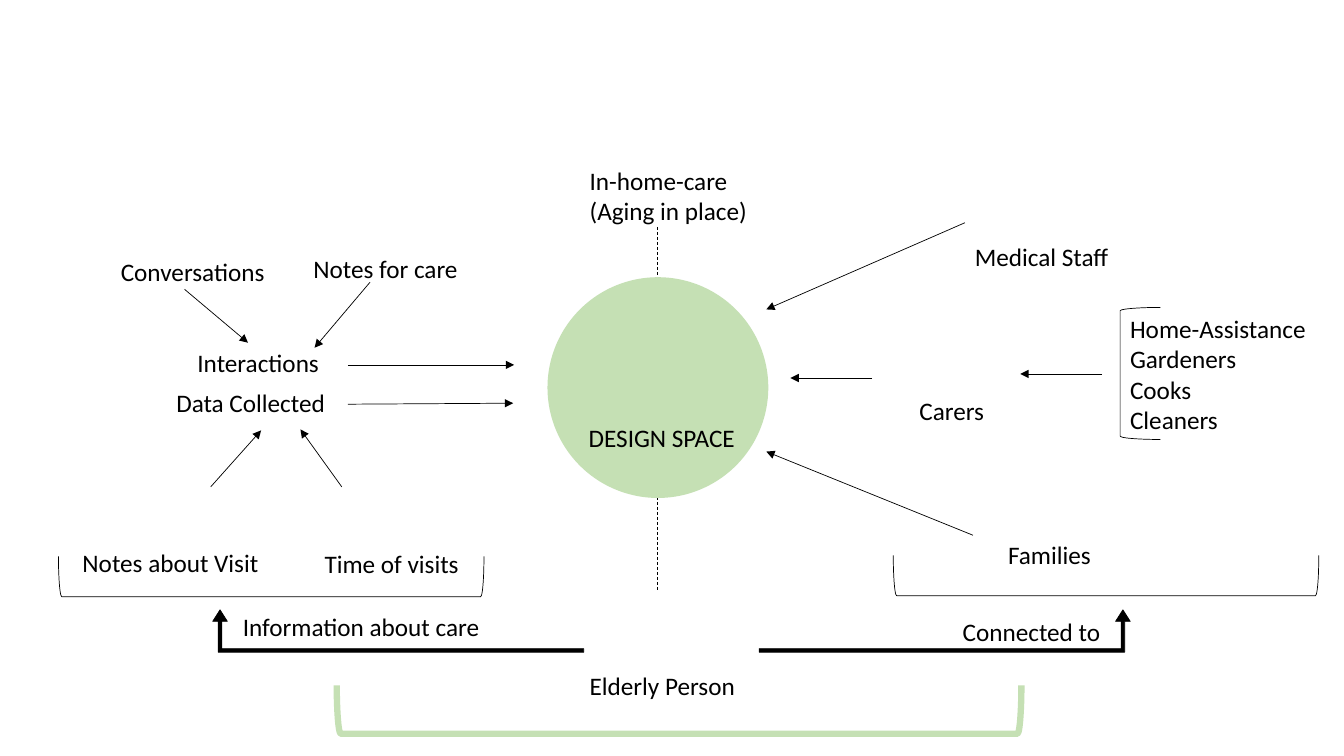
from lxml import etree
from pptx import Presentation
from pptx.dml.color import RGBColor
from pptx.enum.dml import MSO_LINE
from pptx.enum.shapes import MSO_CONNECTOR, MSO_SHAPE
from pptx.enum.text import MSO_AUTO_SIZE
from pptx.oxml.ns import qn
from pptx.util import Inches, Pt

STRAIGHT = MSO_CONNECTOR.STRAIGHT
BRACKET = MSO_SHAPE.LEFT_BRACKET
BENT_ARROW = MSO_SHAPE.BENT_UP_ARROW
CIRCLE = MSO_SHAPE.OVAL
DASH = MSO_LINE.DASH
GROW = MSO_AUTO_SIZE.SHAPE_TO_FIT_TEXT

COLORS = {"ink": "000000", "green": "C5E0B4"}
FONT = "Calibri"
THIN = 0.5


def color(name):
    return RGBColor.from_string(COLORS[name])


def add_label(slide, left, top, width, *lines):
    box = slide.shapes.add_textbox(Inches(left), Inches(top), Inches(width),
                                   Inches(0.1 + 0.3 * len(lines)))
    frame = box.text_frame
    frame.word_wrap = False
    frame.auto_size = GROW
    for number, line in enumerate(lines):
        paragraph = frame.add_paragraph() if number else frame.paragraphs[0]
        run = paragraph.add_run()
        run.text = line
        run.font.name = FONT
        run.font.size = Pt(18)
        run.font.color.rgb = color("ink")


def add_line(slide, x1, y1, x2, y2):
    line = slide.shapes.add_connector(STRAIGHT, Inches(x1), Inches(y1),
                                      Inches(x2), Inches(y2))
    line.line.color.rgb = color("ink")
    line.line.width = Pt(THIN)
    etree.SubElement(line._element.spPr, qn("a:effectLst"))
    return line


def add_arrow(slide, x1, y1, x2, y2):
    outline = add_line(slide, x1, y1, x2, y2)._element.spPr.find(qn("a:ln"))
    etree.SubElement(outline, qn("a:tailEnd"), type="triangle")


def add_figure(slide, kind, left, top, width, height, fill=None, line=None, weight=THIN):
    figure = slide.shapes.add_shape(kind, Inches(left), Inches(top),
                                    Inches(width), Inches(height))
    figure.shadow.inherit = False
    if fill:
        figure.fill.solid()
        figure.fill.fore_color.rgb = color(fill)
    else:
        figure.fill.background()
    if line:
        figure.line.color.rgb = color(line)
        figure.line.width = Pt(weight)
    else:
        figure.line.fill.background()
    return figure


def add_tray(slide, left, top, width, height, line="ink", weight=THIN):
    """Bracket that opens upwards and fills the given box."""
    tray = add_figure(slide, BRACKET, left + (width - height) / 2,
                      top + (height - width) / 2, height, width, None, line, weight)
    tray.rotation = 270


def add_bent_arrow(slide, left, top, mirrored=False):
    arrow = add_figure(slide, BENT_ARROW, left, top, 3.68, 0.42, "ink", "ink")
    for index, value in enumerate((0.084, 0.173, 0.273)):
        arrow.adjustments[index] = value
    if mirrored:
        arrow._element.spPr.find(qn("a:xfrm")).set("flipH", "1")


def draw_design_space(slide, left, top):
    axis = left + 1.09
    add_line(slide, axis, top + 0.66, axis, top + 4.27).line.dash_style = DASH
    add_figure(slide, CIRCLE, left, top + 1.16, 2.19, 2.19, "green")
    add_label(slide, left + 0.32, top, 1.78, "In-home-care", "(Aging in place)")
    add_label(slide, left + 0.31, top + 2.55, 1.67, "DESIGN SPACE")


def draw_care_information(slide, left, top):
    for text, x, y, width in (
        ("Conversations", 0.52, 0.03, 1.76),
        ("Notes for care", 2.43, 0, 1.65),
        ("Interactions", 1.28, 0.94, 1.48),
        ("Data Collected", 1.07, 1.33, 1.75),
        ("Notes about Visit", 0.14, 2.92, 1.97),
        ("Time of visits", 2.54, 2.93, 1.55),
    ):
        add_label(slide, left + x, top + y, width, text)
    for x1, y1, x2, y2 in (
        (1.25, 0.41, 1.88, 0.94),
        (3.09, 0.34, 2.54, 0.99),
        (1.51, 2.37, 2.01, 1.81),
        (2.81, 2.37, 2.4, 1.8),
        (2.87, 1.16, 4.52, 1.16),
        (2.87, 1.55, 4.51, 1.54),
    ):
        add_arrow(slide, left + x1, top + y1, left + x2, top + y2)
    add_tray(slide, left, top + 3.06, 4.22, 0.4)


def draw_people(slide, left, top):
    add_label(slide, left + 2.04, top + 0.13, 1.54, "Medical Staff")
    add_label(slide, left + 1.49, top + 1.66, 0.85, "Carers")
    add_label(slide, left + 2.37, top + 3.09, 1.03, "Families")
    add_label(slide, left + 3.58, top + 0.85, 1.96,
              "Home-Assistance", "Gardeners", "Cooks", "Cleaners")
    add_figure(slide, BRACKET, left + 3.58, top + 0.84, 0.4, 1.31, line="ink")
    for x1, y1, x2, y2 in (
        (2.04, 0, 0.07, 0.86),
        (1.12, 1.54, 0.31, 1.54),
        (3.4, 1.5, 2.59, 1.5),
        (2.12, 3.1, 0.07, 2.27),
    ):
        add_arrow(slide, left + x1, top + y1, left + x2, top + y2)
    add_tray(slide, left + 1.33, top + 3.3, 4.22, 0.4)


def draw_elderly_person(slide, left, top):
    add_bent_arrow(slide, left, top, mirrored=True)
    add_bent_arrow(slide, left + 5.42, top)
    add_label(slide, left + 0.2, top - 0.03, 2.58, "Information about care")
    add_label(slide, left + 7.34, top + 0.02, 1.58, "Connected to")
    add_label(slide, left + 3.64, top + 0.55, 1.66, "Elderly Person")
    add_tray(slide, left + 1.23, top + 0.75, 6.79, 0.48, "green", 4.5)


def main():
    deck = Presentation()
    deck.slide_width, deck.slide_height = Inches(13.33), Inches(7.5)
    slide = deck.slides.add_slide(deck.slide_layouts[6])
    draw_design_space(slide, 5.43, 1.59)
    draw_care_information(slide, 0.58, 2.46)
    draw_people(slide, 7.53, 2.21)
    draw_elderly_person(slide, 2.11, 6.05)
    deck.save("out.pptx")


if __name__ == "__main__":
    main()
